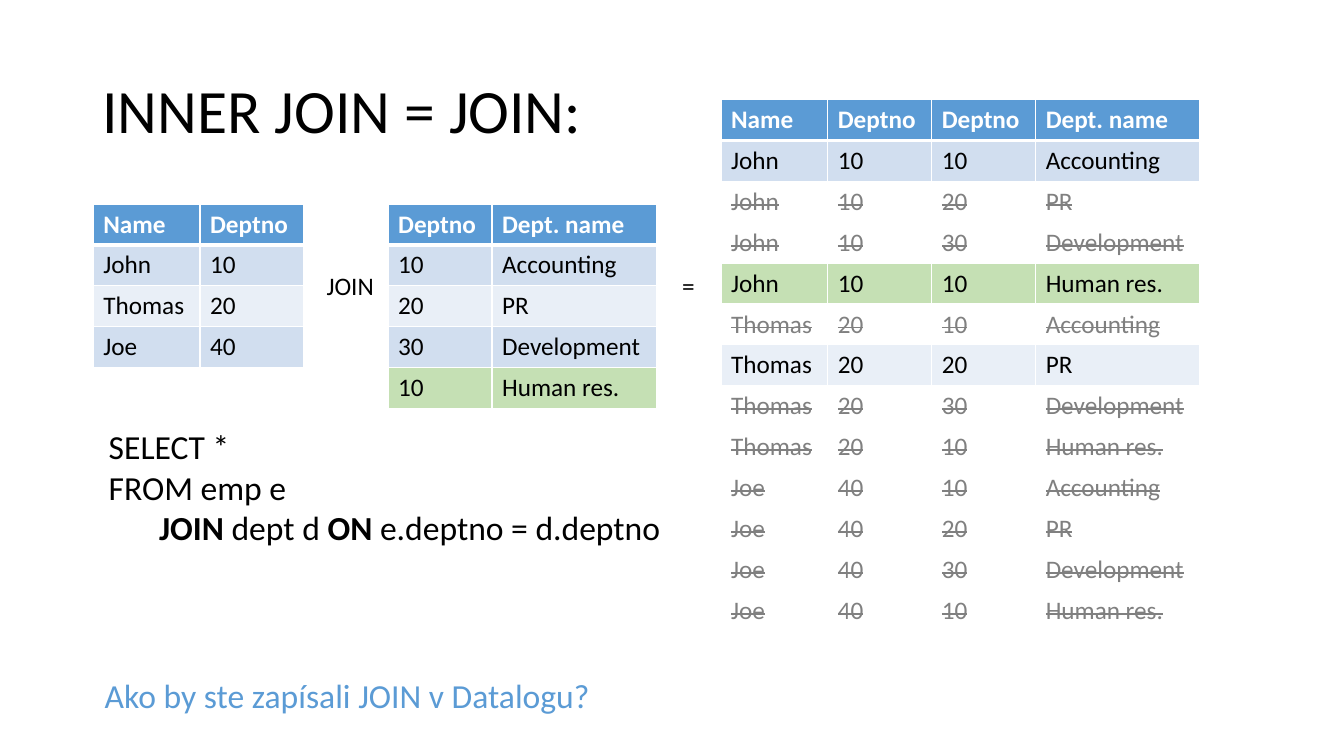
from lxml.etree import SubElement
from pptx import Presentation
from pptx.dml.color import RGBColor
from pptx.enum.text import MSO_ANCHOR, PP_ALIGN
from pptx.oxml.ns import qn
from pptx.util import Cm, Pt

FONT = "Calibri"
COLORS = {
    "black": "000000",
    "white": "FFFFFF",
    "gray": "808080",
    "blue": "5B9BD5",
    "band": "D1DEEF",
    "light": "E9EFF7",
    "green": "C5E0B4",
}
ROW_HEIGHT = 1.03
COLUMN_WIDTHS = {"Name": 2.69, "Deptno": 2.62, "Dept. name": 4.14}


def format_text(text_frame, size, color, bold=None, strike=False):
    for paragraph in text_frame.paragraphs:
        for run in paragraph.runs:
            run.font.name = FONT
            run.font.size = Pt(size)
            run.font.color.rgb = RGBColor.from_string(COLORS[color])
            if bold is not None:
                run.font.bold = bold
            if strike:
                run._r.get_or_add_rPr().set("strike", "sngStrike")


def add_relation(left, top, headers, rows):
    body = [(values, fill, "gray" if fill == "white" else "black") for values, fill in rows]
    lines = [(headers, "blue", "white")] + body
    widths = [COLUMN_WIDTHS[header] for header in headers]
    table = slide.shapes.add_table(
        len(lines), len(headers), Cm(left), Cm(top),
        Cm(sum(widths)), Cm(ROW_HEIGHT * len(lines)),
    ).table
    for column, width in zip(table.columns, widths):
        column.width = Cm(width)
    for row_index, (values, fill, color) in enumerate(lines):
        table.rows[row_index].height = Cm(ROW_HEIGHT)
        for column_index, value in enumerate(values):
            cell = table.cell(row_index, column_index)
            cell.text_frame.text = value
            format_text(cell.text_frame, 18, color, row_index == 0, fill == "white")
            for side in ("lnL", "lnR", "lnT", "lnB"):
                under_header = (row_index, side) in ((0, "lnB"), (1, "lnT"))
                border = SubElement(cell._tc.get_or_add_tcPr(), qn(f"a:{side}"))
                border.set("w", str(Pt(3 if under_header else 0.96)))
                border_fill = SubElement(border, qn("a:solidFill"))
                SubElement(border_fill, qn("a:srgbClr")).set("val", COLORS["white"])
            cell.fill.solid()
            cell.fill.fore_color.rgb = RGBColor.from_string(COLORS[fill])


presentation = Presentation()
presentation.slide_width = Cm(33.87)
presentation.slide_height = Cm(19.05)
slide = presentation.slides.add_slide(presentation.slide_layouts[5])

title = slide.shapes.title
title.left, title.top, title.width, title.height = Cm(2.33), Cm(1.01), Cm(29.21), Cm(3.68)
title.text_frame.text = "INNER JOIN = JOIN:"
title.text_frame.vertical_anchor = MSO_ANCHOR.MIDDLE
title.text_frame.paragraphs[0].alignment = PP_ALIGN.LEFT
title.text_frame.paragraphs[0].line_spacing = 0.9
format_text(title.text_frame, 44, "black")

employees = [
    (("John", "10"), "band"),
    (("Thomas", "20"), "light"),
    (("Joe", "40"), "band"),
]
departments = [
    (("10", "Accounting"), "band"),
    (("20", "PR"), "light"),
    (("30", "Development"), "band"),
    (("10", "Human res."), "green"),
]
joined = [
    (employee + department, fill if employee[1] == department[0] else "white")
    for employee, _ in employees
    for department, fill in departments
]
add_relation(2.35, 5.14, ("Name", "Deptno"), employees)
add_relation(9.78, 5.14, ("Deptno", "Dept. name"), departments)
add_relation(18.17, 2.51, ("Name", "Deptno", "Deptno", "Dept. name"), joined)

for text, left, top, width, height, size, color in (
    ("JOIN", 7.98, 6.68, 1.7, 1.02, 18, "black"),
    ("=", 16.94, 6.68, 0.81, 1.02, 18, "black"),
    ("Ako by ste zapísali JOIN v Datalogu?", 2.39, 16.87, 12.73, 1.27, 24, "blue"),
):
    label = slide.shapes.add_textbox(Cm(left), Cm(top), Cm(width), Cm(height))
    label.text_frame.word_wrap = False
    label.text_frame.text = text
    format_text(label.text_frame, size, color)

query = slide.shapes.add_textbox(Cm(2.49), Cm(10.62), Cm(14.4), Cm(3.3))
query.text_frame.word_wrap = True
query.text_frame.text = "SELECT * \vFROM emp e"
join_clause = query.text_frame.add_paragraph()
for text, bold in (
    ("\t", False),
    ("JOIN", True),
    (" dept d ", False),
    ("ON", True),
    (" e.deptno = d.deptno", False),
):
    run = join_clause.add_run()
    run.text = text
    run.font.bold = bold
format_text(query.text_frame, 24, "black")

presentation.save("out.pptx")
